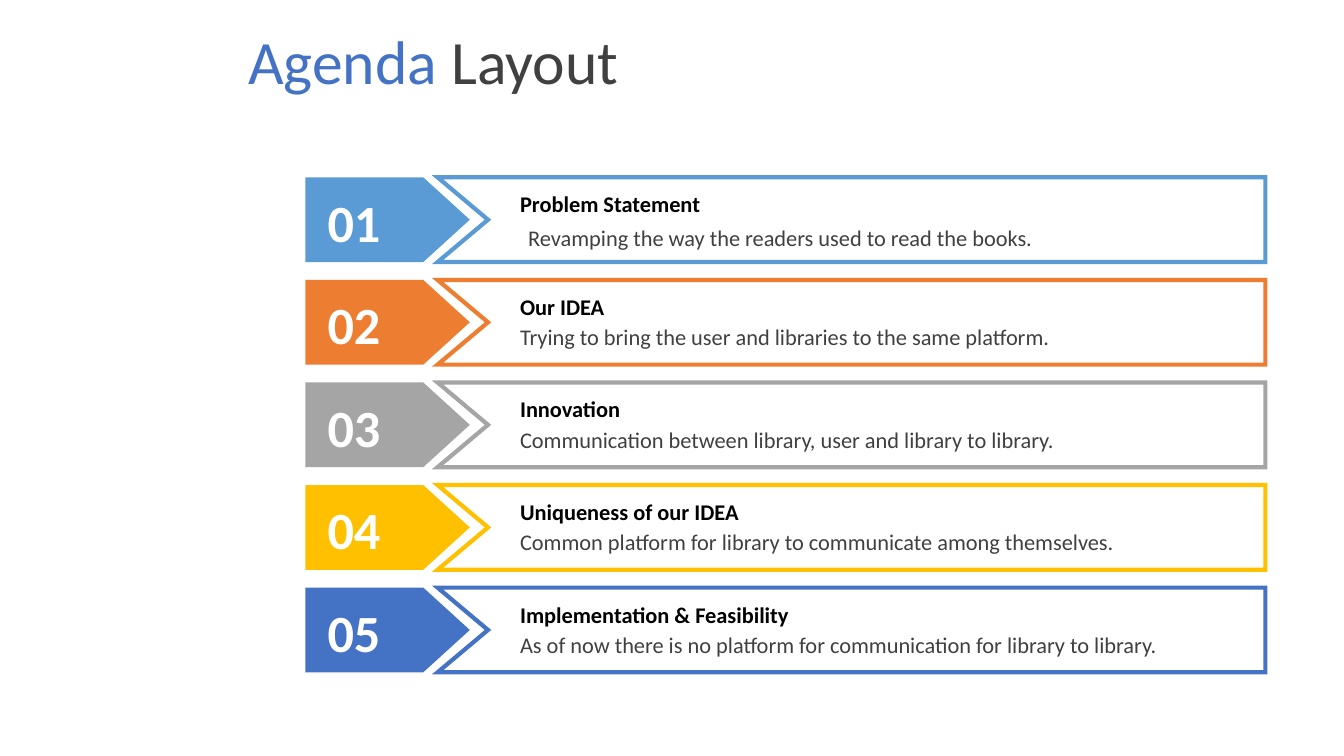
from lxml.etree import SubElement as Sub
from pptx import Presentation
from pptx.dml.color import RGBColor
from pptx.enum.shapes import MSO_SHAPE as Kind
from pptx.enum.text import MSO_ANCHOR as Anchor, MSO_AUTO_SIZE as Fit, PP_ALIGN as Align
from pptx.oxml.ns import qn
from pptx.util import Inches, Pt

TOP, LAST = 1.76, 5.83
HIGH = 0.84
ITEMS = [
    ("5B9BD5", "Problem Statement",
     "Revamping the way the readers used to read the books."),
    ("ED7D31", "Our IDEA",
     "Trying to bring the user and libraries to the same platform."),
    ("A5A5A5", "Innovation",
     "Communication between library, user and library to library."),
    ("FFC000", "Uniqueness of our IDEA",
     "Common platform for library to communicate among themselves."),
    ("4472C4", "Implementation & Feasibility",
     "As of now there is no platform for communication for library to library."),
]
STEP = (LAST - TOP) / (len(ITEMS) - 1)


def tint(code):
    return RGBColor.from_string(code)


class Deck:
    font = "Calibri"
    dark = "404040"

    def __init__(self, slide):
        self.slide = slide
        self.shapes = slide.shapes

    def style(self, run, size, color, bold=False):
        run.font.name = self.font
        run.font.size = Pt(size)
        run.font.bold = bold
        run.font.color.rgb = tint(color)

    def title(self, parts):
        box = self.shapes.title
        box.left, box.top = Inches(2.36), Inches(0)
        box.width, box.height = Inches(10.97), Inches(1.29)
        box.text_frame.vertical_anchor = Anchor.MIDDLE
        para = box.text_frame.paragraphs[0]
        para.alignment = Align.LEFT
        para.line_spacing = 0.9
        for words, color in parts:
            run = para.add_run()
            run.text = words
            self.style(run, 44, color)

    def arrow(self, top, color):
        shape = self.shapes.add_shape(
            Kind.PENTAGON, Inches(3.03), Inches(top), Inches(1.63), Inches(HIGH))
        shape.adjustments[0] = 0.549
        shape.shadow.inherit = False
        shape.fill.solid()
        shape.fill.fore_color.rgb = tint(color)
        shape.line.fill.background()

    def frame(self, top, color):
        left, right, notch = 4.34, 12.55, 4.84
        low = top + HIGH
        pen = self.shapes.build_freeform(Inches(left), Inches(top))
        spots = [(right, top), (right, low), (left, low), (notch, top + HIGH / 2)]
        pen.add_line_segments([(Inches(x), Inches(y)) for x, y in spots])
        shape = pen.convert_to_shape()
        shape.shadow.inherit = False
        shape.fill.solid()
        shape.fill.fore_color.rgb = tint("FFFFFF")
        shape.line.color.rgb = tint(color)
        shape.line.width = Pt(3)
        # Sharp corners
        Sub(shape.line._get_or_add_ln(), qn("a:miter"), lim="800000")

    def text(self, home, spot, words, size, color, bold=False):
        box = home.add_textbox(*[Inches(v) for v in spot])
        body = box.text_frame
        body.text = words
        body.word_wrap = True
        body.auto_size = Fit.SHAPE_TO_FIT_TEXT
        self.style(body.paragraphs[0].runs[0], size, color, bold)
        return body

    def number(self, top, words):
        body = self.text(self.shapes, (3.15, top + 0.12, 0.88, 0.63),
                         words, 37.3, "FFFFFF", True)
        body.vertical_anchor = Anchor.MIDDLE
        body.margin_top = body.margin_bottom = 0

    def topic(self, top, head, note, shift, drop):
        group = self.shapes.add_group_shape().shapes
        self.text(group, (5.06, top + 0.08, 7.07, 0.37), head, 16, "000000", True)
        self.text(group, (5.06 + shift, top + drop, 7.07, 0.37), note, 16, self.dark)


def main():
    prs = Presentation()
    prs.slide_width, prs.slide_height = Inches(13.33), Inches(7.5)
    deck = Deck(prs.slides.add_slide(prs.slide_layouts[5]))

    # Heading
    deck.title([("Agenda", "4472C4"), (" Layout", deck.dark)])

    # Agenda rows; the first note sits slightly right and lower
    for i, (color, head, note) in enumerate(ITEMS):
        top = TOP + i * STEP
        shift, drop = (0, 0.38) if i else (0.08, 0.41)
        deck.arrow(top, color)
        deck.frame(top, color)
        deck.number(top, f"{i + 1:02}")
        deck.topic(top, head, note, shift, drop)

    prs.save("out.pptx")


if __name__ == "__main__":
    main()
